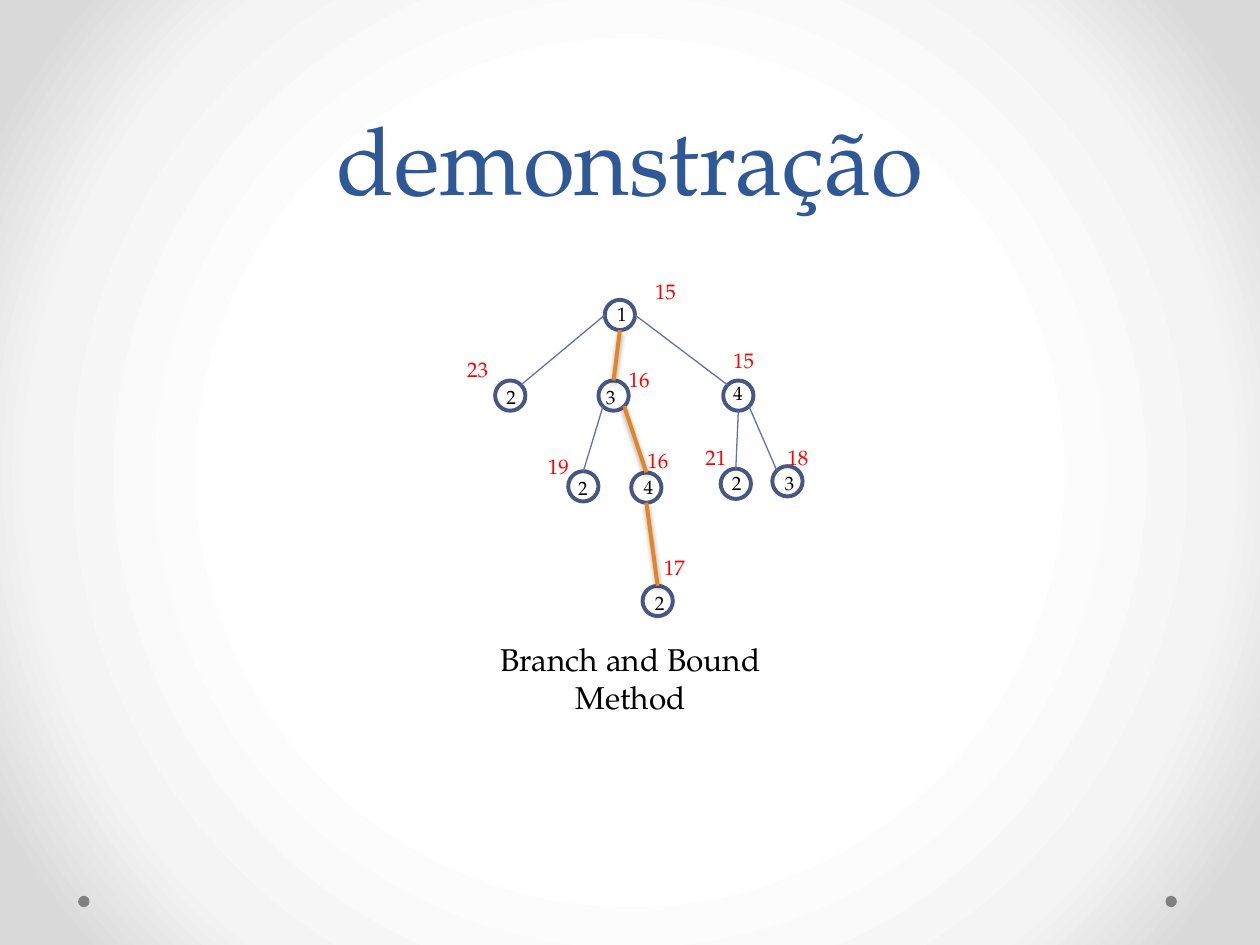
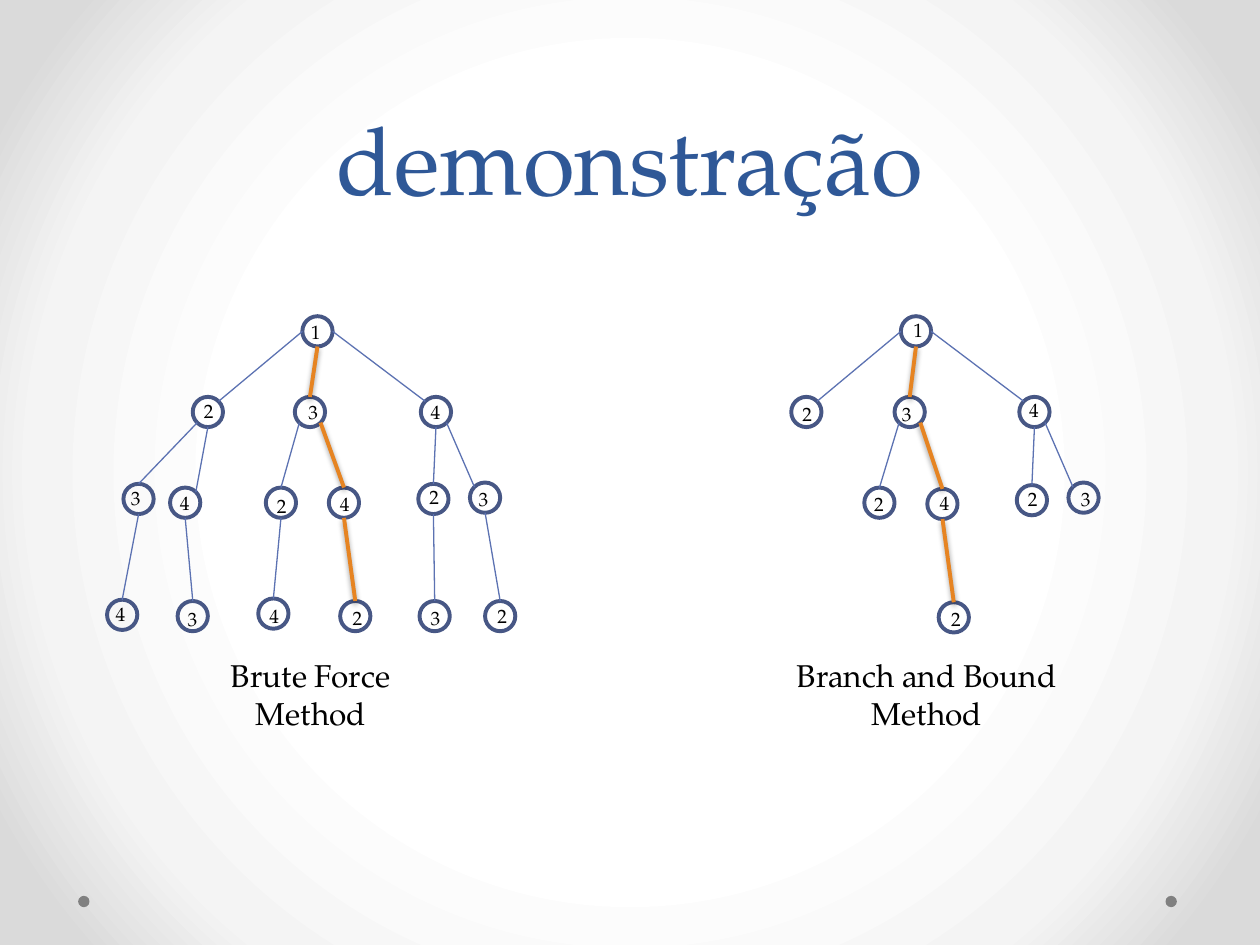
"""Build two slides comparing brute force and branch-and-bound search trees."""
from pptx import Presentation
from pptx.dml.color import RGBColor
from pptx.enum.shapes import MSO_CONNECTOR as Connector, MSO_SHAPE as Shape
from pptx.enum.text import MSO_ANCHOR as Anchor, MSO_AUTO_SIZE as AutoSize, PP_ALIGN as Align
from pptx.oxml import parse_xml
from pptx.oxml.ns import nsdecls, qn
from pptx.util import Inches, Pt

FONT = "TeX Gyre Pagella"
COLORS = {
    "title": "2F5897", "text": "000000", "bound": "FF0000", "node": "475785",
    "edge": "5C72B2", "best": "E68422", "dot": "808080", "shadow": "000000",
}
BACKGROUND_STOPS = [(50, "FFFFFF"), (76, "F4F4F4"), (92, "DADADA")]
TITLE = "demonstração"
DOT_LEFTS = (0.62, 9.25)
DOT_TOP, DOT_SIZE = 7.11, 0.09
NODE_SIZE = 0.24
BEST_TOUR = "1342"

# Each key is the route from the root: node x, y, then digit shift x, y.
BRANCH_AND_BOUND = {
    "caption": ["Branch and Bound", "Method"],
    "caption_left": -0.96,
    "caption_width": 2.33,
    "nodes": {
        "1": (0, 0, 0, -0.03),
        "12": (-0.87, 0.64, -0.01, -0.01),
        "13": (-0.05, 0.64, -0.04, -0.01),
        "14": (0.94, 0.64, -0.02, -0.04),
        "132": (-0.29, 1.36, -0.02, -0.01),
        "134": (0.21, 1.37, 0, -0.03),
        "142": (0.92, 1.34, -0.01, -0.03),
        "143": (1.33, 1.32, 0, -0.01),
        "1342": (0.3, 2.27, 0, -0.01),
    },
}
BRUTE_FORCE = {
    "caption": ["Brute Force Method"],
    "caption_left": -0.91,
    "caption_width": 1.95,
    "nodes": {
        "1": (0, 0, -0.03, -0.02),
        "12": (-0.87, 0.64, -0.01, -0.03),
        "13": (-0.06, 0.64, 0.01, -0.02),
        "14": (0.94, 0.64, -0.02, -0.02),
        "123": (-1.42, 1.33, -0.04, -0.03),
        "124": (-1.05, 1.36, -0.02, -0.02),
        "132": (-0.29, 1.36, -0.01, 0),
        "134": (0.21, 1.36, -0.01, -0.01),
        "142": (0.92, 1.33, -0.01, -0.04),
        "143": (1.33, 1.32, -0.03, -0.01),
        "1234": (-1.55, 2.25, -0.03, -0.03),
        "1243": (-0.99, 2.26, -0.02, 0),
        "1324": (-0.35, 2.24, -0.01, 0),
        "1342": (0.3, 2.26, 0, -0.01),
        "1423": (0.93, 2.26, -0.01, -0.01),
        "1432": (1.45, 2.26, 0, -0.02),
    },
}
BOUNDS = [
    ("15", 0.3, -0.22), ("23", -1.19, 0.4), ("16", 0.09, 0.48),
    ("15", 0.92, 0.33), ("19", -0.55, 1.17), ("16", 0.24, 1.12),
    ("18", 1.35, 1.1), ("21", 0.7, 1.1), ("17", 0.37, 1.97),
]
SLIDES = [
    {"trees": [(BRANCH_AND_BOUND, 4.8, 2.38)], "bounds": BOUNDS},
    {"trees": [(BRUTE_FORCE, 2.4, 2.51), (BRANCH_AND_BOUND, 7.15, 2.51)], "bounds": []},
]

SITES = {
    "top": (0.5, 0), "bottom": (0.5, 1), "left": (0, 0.5), "right": (1, 0.5),
    "top left": (0.15, 0.15), "top right": (0.85, 0.15),
    "bottom left": (0.15, 0.85), "bottom right": (0.85, 0.85),
}
EDGE_SITES = {
    "12": ("left", "top right"), "14": ("right", "top left"),
    "123": ("bottom left", "top"), "124": ("bottom", "top right"),
    "132": ("bottom left", "top"), "134": ("bottom right", "top"),
    "143": ("bottom right", "top left"),
}


def color(name):
    return RGBColor.from_string(COLORS[name])


def style_text(frame, size, color_name, align):
    for para in frame.paragraphs:
        para.alignment = align
        for span in para.runs:
            span.font.name = FONT
            span.font.size = Pt(size)
            span.font.color.rgb = color(color_name)


def add_text(page, lines, left, top, width, height, size, color_name="text", align=Align.LEFT):
    box = page.shapes.add_textbox(*map(Inches, (left, top, width, height)))
    frame = box.text_frame
    frame.word_wrap = True
    frame.auto_size = AutoSize.SHAPE_TO_FIT_TEXT
    frame.text = "\n".join(lines)
    style_text(frame, size, color_name, align)


def add_circle(page, left, top, size):
    circle = page.shapes.add_shape(Shape.OVAL, *map(Inches, (left, top, size, size)))
    circle.shadow.inherit = False
    return circle


def add_node(page, left, top):
    node = add_circle(page, left, top, NODE_SIZE)
    node.fill.background()
    node.line.color.rgb = color("node")
    node.line.width = Pt(2.25)
    return node


def site_point(node, site):
    across, down = SITES[site]
    return int(node.left + across * node.width), int(node.top + down * node.height)


def edge_effects(best):
    shadow = (
        f'<a:outerShdw blurRad="{Pt(3.1)}" dist="{Pt(1.6)}" dir="5400000" rotWithShape="0">'
        f'<a:srgbClr val="{COLORS["shadow"]}"><a:alpha val="38000"/></a:srgbClr></a:outerShdw>'
    )
    return parse_xml(f'<a:effectLst {nsdecls("a")}>{shadow if best else ""}</a:effectLst>')


def add_edge(page, parent, child, route):
    start, end = EDGE_SITES.get(route, ("bottom", "top"))
    best = BEST_TOUR.startswith(route)
    edge = page.shapes.add_connector(
        Connector.STRAIGHT, *site_point(parent, start), *site_point(child, end))
    if end == "top":
        edge.end_connect(child, 0)
    edge.line.color.rgb = color("best" if best else "edge")
    edge.line.width = Pt(2.25 if best else 0.75)
    edge.element.spPr.append(edge_effects(best))


def add_tree(page, tree, left, top):
    places = tree["nodes"]
    nodes = {route: add_node(page, left + x, top + y) for route, (x, y, _, _) in places.items()}
    for route, node in nodes.items():
        if len(route) > 1:
            add_edge(page, nodes[route[:-1]], node, route)
    add_text(page, tree["caption"], left + tree["caption_left"], top + 2.65,
             tree["caption_width"], 0.71, 18, align=Align.CENTER)
    for route, (x, y, shift_x, shift_y) in places.items():
        add_text(page, [route[-1]], left + x + shift_x, top + y + shift_y, 0.43, 0.29, 11)


def set_background(master):
    master.background.fill.gradient()
    gradient = master.element.find(".//" + qn("a:gradFill"))
    stops = "".join(
        f'<a:gs pos="{position * 1000}"><a:srgbClr val="{shade}"/></a:gs>'
        for position, shade in BACKGROUND_STOPS)
    gradient.getparent().replace(gradient, parse_xml(
        f'<a:gradFill {nsdecls("a")} rotWithShape="1"><a:gsLst>{stops}</a:gsLst>'
        '<a:path path="circle"><a:fillToRect l="50000" t="50000" r="50000" b="50000"/>'
        '</a:path></a:gradFill>'))


def add_page(deck):
    page = deck.slides.add_slide(deck.slide_layouts[5])
    for left in DOT_LEFTS:
        dot = add_circle(page, left, DOT_TOP, DOT_SIZE)
        dot.fill.solid()
        dot.fill.fore_color.rgb = color("dot")
        dot.line.fill.background()
    title = page.shapes.title
    title.left, title.top, title.width, title.height = map(Inches, (0.5, 0, 9, 1.75))
    frame = title.text_frame
    frame.text = TITLE
    frame.vertical_anchor = Anchor.BOTTOM
    frame.auto_size = AutoSize.NONE
    frame.paragraphs[0].line_spacing = Pt(58)
    style_text(frame, 54, "title", Align.CENTER)
    return page


def main():
    deck = Presentation()
    deck.slide_width, deck.slide_height = Inches(10), Inches(7.5)
    set_background(deck.slide_master)
    for content in SLIDES:
        page = add_page(deck)
        for tree, left, top in content["trees"]:
            add_tree(page, tree, left, top)
        for bound, x, y in content["bounds"]:
            add_text(page, [bound], left + x, top + y, 0.61, 0.3, 12, "bound")
    deck.save("out.pptx")


if __name__ == "__main__":
    main()
